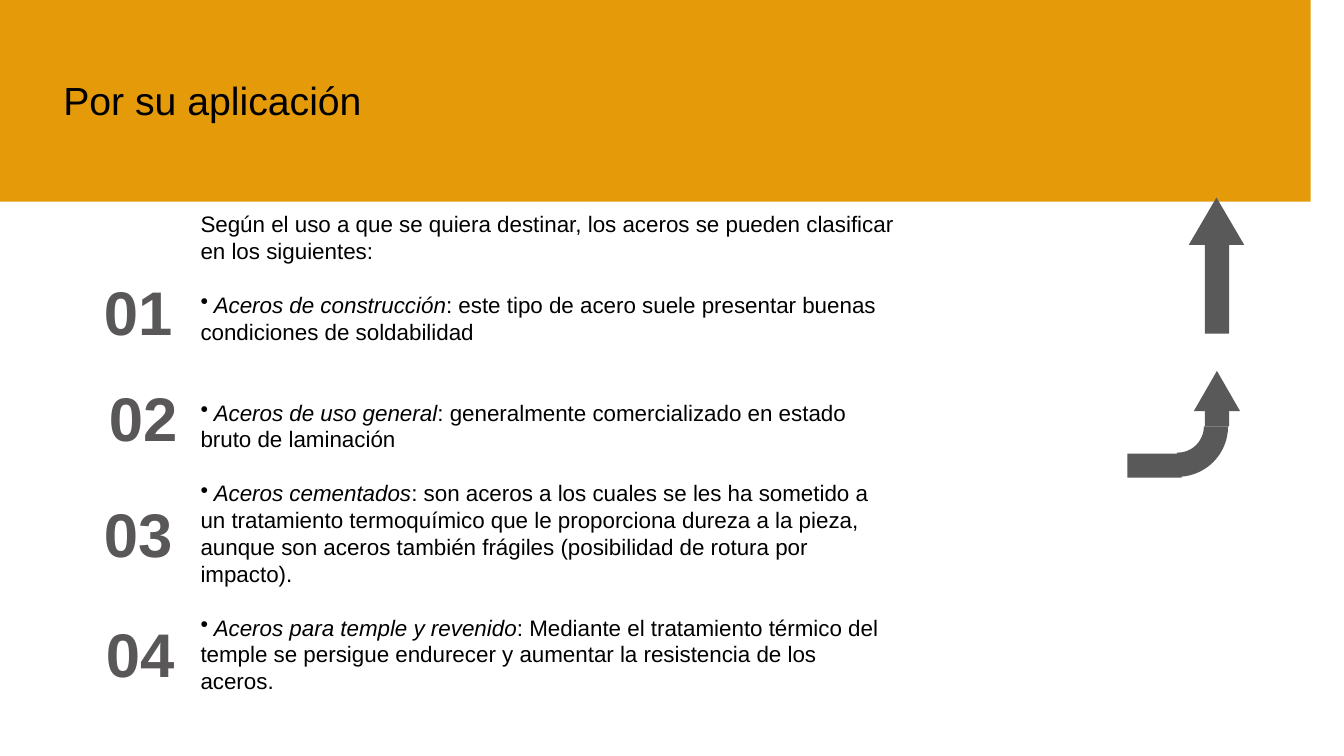
from lxml.etree import SubElement
from pptx import Presentation
from pptx.dml.color import RGBColor
from pptx.enum.shapes import MSO_SHAPE
from pptx.enum.text import PP_ALIGN
from pptx.oxml.ns import qn
from pptx.util import Inches, Pt

COLORS = {"band": "E59B09", "arrow": "595959", "number": "595757",
          "text": "000000", "outline": "FFFFFF"}
LINE = 19.2  # body line pitch in points

BAND = [(13.17, 0.33), (12.96, 0.33), (12.96, 0.16), (11.04, 0.16), (11.04, 0.33),
        (2.28, 0.33), (2.28, 0.18), (0.36, 0.18), (0.36, 0.33), (0.14, 0.33),
        (0.14, 1.67), (0.36, 1.67), (0.36, 1.83), (2.28, 1.83), (2.28, 1.67),
        (11.04, 1.67), (11.04, 1.81), (12.96, 1.81), (12.96, 1.67), (13.17, 1.67)]

INTRO = ("Según el uso a que se quiera destinar, los aceros se pueden clasificar "
         "en los siguientes:")
# Term, explanation, empty lines above
STEELS = [
    ("Aceros de construcción",
     ": este tipo de acero suele presentar buenas condiciones de soldabilidad", 1),
    ("Aceros de uso general",
     ": generalmente comercializado en estado bruto de laminación", 2),
    ("Aceros cementados",
     ": son aceros a los cuales se les ha sometido a un tratamiento termoquímico que le "
     "proporciona dureza a la pieza, aunque son aceros también frágiles "
     "(posibilidad de rotura por impacto).", 1),
    ("Aceros para temple y revenido",
     ": Mediante el tratamiento térmico del temple se persigue endurecer y aumentar "
     "la resistencia de los aceros.", 1),
]
NUMBERS = [(0.8, 2.67), (0.85, 3.72), (0.8, 4.87), (0.82, 6.06)]


class SlideBuilder:
    def __init__(self, slide, font="Arial"):
        self.slide = slide
        self.font = font

    def paint(self, shape, color):
        shape.shadow.inherit = False
        shape.fill.solid()
        shape.fill.fore_color.rgb = RGBColor.from_string(COLORS[color])
        shape.line.fill.background()

    def outline(self, points, color):
        builder = self.slide.shapes.build_freeform(*points[0], scale=Inches(1))
        builder.add_line_segments(points[1:], close=True)
        self.paint(builder.convert_to_shape(), color)

    def group(self, parts, color):
        group = self.slide.shapes.add_group_shape()
        for kind, frame, rotation, adjustments in parts:
            shape = group.shapes.add_shape(kind, *map(Inches, frame))
            shape.rotation = rotation
            for index, value in enumerate(adjustments):
                shape.adjustments[index] = value
            self.paint(shape, color)

    def text_box(self, left, top, width, height):
        box = self.slide.shapes.add_textbox(*map(Inches, (left, top, width, height)))
        box.text_frame.word_wrap = True
        return box.text_frame

    def bullet(self, para):
        SubElement(para._p.get_or_add_pPr(), qn("a:buChar"), char="•")

    def span(self, para, text, size, color="text", bold=False, italic=False):
        span = para.add_run()
        span.text = text
        span.font.name = self.font
        span.font.size = Pt(size)
        span.font.bold = bold
        span.font.italic = italic
        span.font.color.rgb = RGBColor.from_string(COLORS[color])
        return span

    def number(self, text, left, top):
        para = self.text_box(left, top, 1.14, 0.84).paragraphs[0]
        para.alignment = PP_ALIGN.CENTER
        span = self.span(para, text, 44, "number", bold=True)
        edge = SubElement(span.font._element, qn("a:ln"), w=str(Pt(1)))
        fill = SubElement(edge, qn("a:solidFill"))
        SubElement(fill, qn("a:srgbClr"), val=COLORS["outline"])
        span.font._element.insert(0, edge)


def main():
    deck = Presentation()
    deck.slide_width, deck.slide_height = Inches(13.33), Inches(7.5)
    page = SlideBuilder(deck.slides.add_slide(deck.slide_layouts[6]))

    # Title band
    page.outline(BAND, "band")
    title = page.text_box(0.53, 0.76, 12.66, 0.92).paragraphs[0]
    title.line_spacing = 0.9
    page.span(title, "Por su aplicación", 28)

    # Straight and bent arrows
    bar, head = MSO_SHAPE.RECTANGLE, MSO_SHAPE.ISOSCELES_TRIANGLE
    page.group([(bar, (11.95, 2.42, 0.24, 0.89), 0, ()),
                (head, (11.79, 1.96, 0.55, 0.47), 0, ())], "arrow")
    page.group([(bar, (11.33, 4.35, 0.24, 0.54), 90, ()),
                (MSO_SHAPE.BLOCK_ARC, (11.18, 3.73, 1, 1), 180, (108, 162.85, 0.24)),
                (head, (11.84, 3.68, 0.46, 0.4), 0, ()),
                (bar, (11.95, 3.95, 0.24, 0.28), 0, ())], "arrow")

    # Classification text
    body = page.text_box(1.89, 2.04, 7.08, 4.95)
    para = body.paragraphs[0]
    para.line_spacing = Pt(LINE)
    page.span(para, INTRO, 16)
    for term, explanation, gap in STEELS:
        para = body.add_paragraph()
        para.line_spacing = Pt(LINE)
        para.space_before = Pt(LINE * gap)
        page.bullet(para)
        page.span(para, " " + term, 16, italic=True)
        page.span(para, explanation, 16)

    # Item numbers
    for index, (left, top) in enumerate(NUMBERS, start=1):
        page.number(f"{index:02}", left, top)

    deck.save("out.pptx")


if __name__ == "__main__":
    main()
